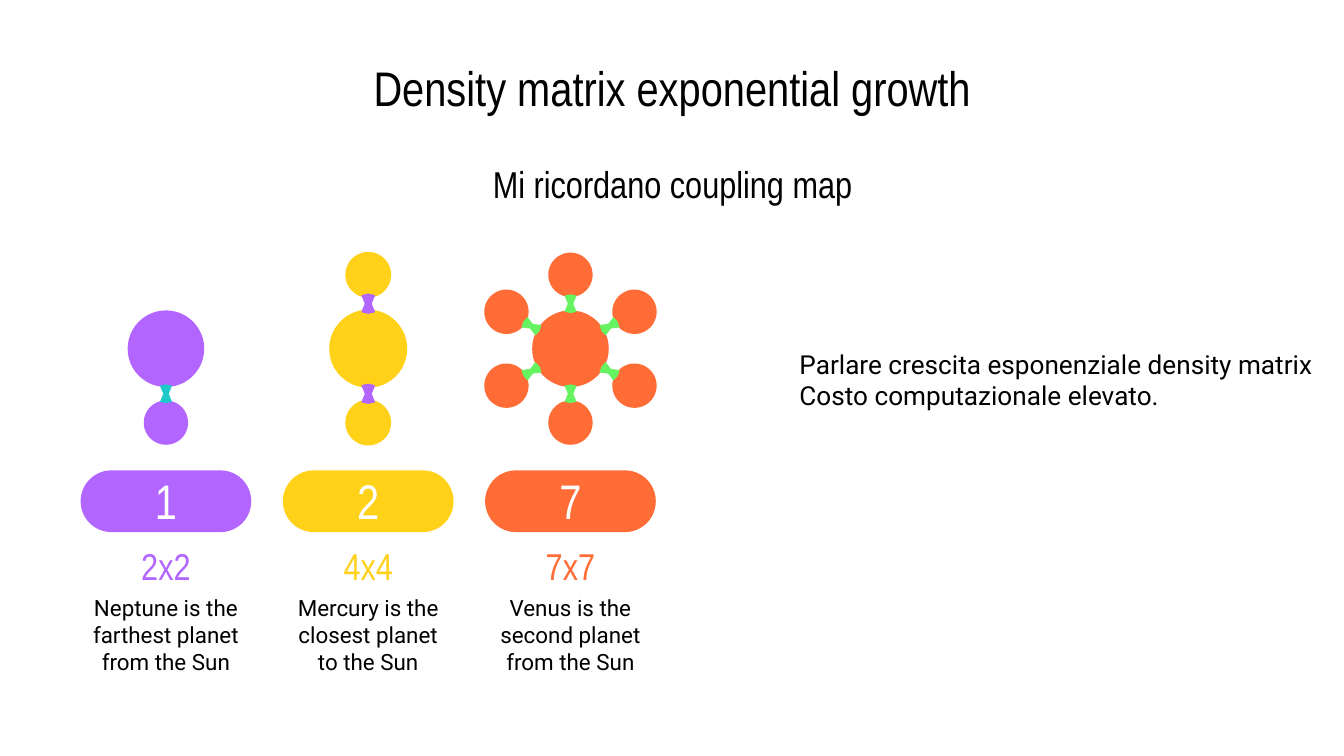
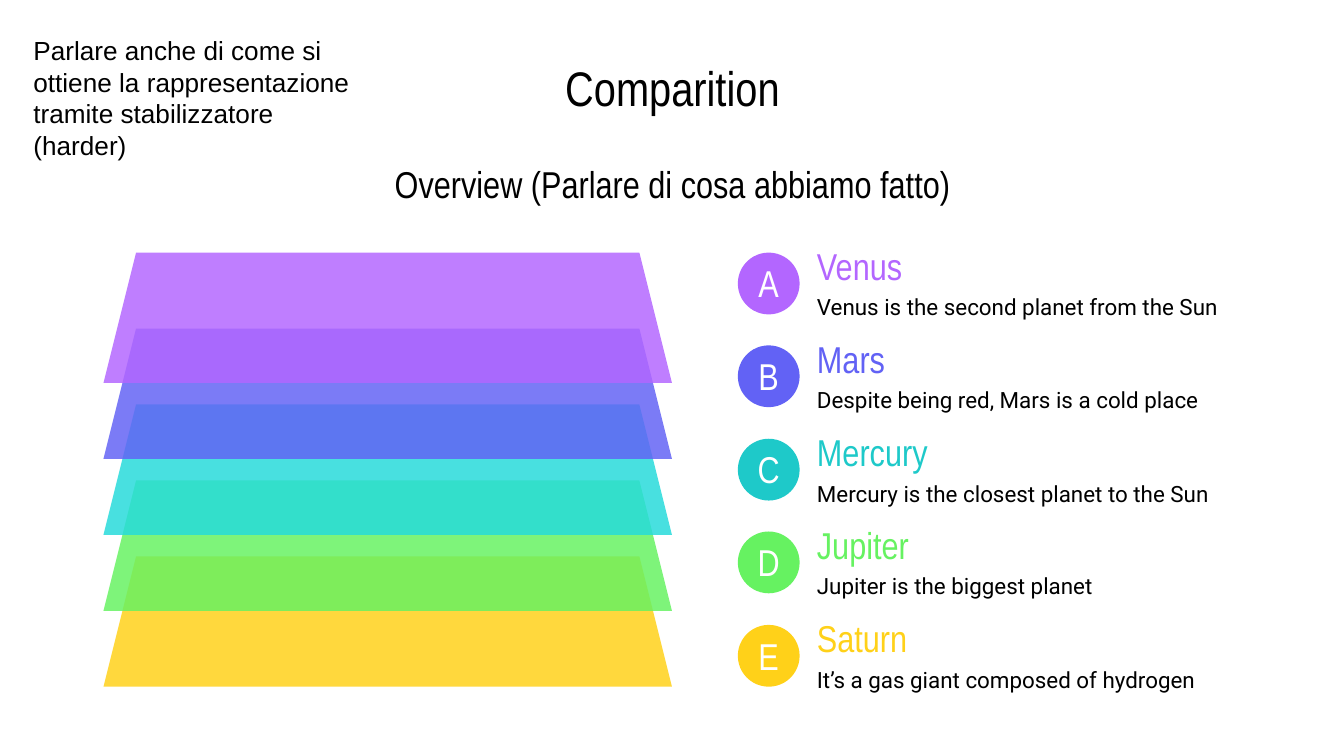
from math import cos, radians, sin

from lxml.etree import SubElement
from pptx import Presentation
from pptx.dml.color import RGBColor
from pptx.enum.shapes import MSO_SHAPE
from pptx.enum.text import MSO_ANCHOR, MSO_AUTO_SIZE, PP_ALIGN
from pptx.oxml.ns import qn
from pptx.util import Pt

PX = 4572  # 200 px to the inch

BLACK = RGBColor(0x00, 0x00, 0x00)
WHITE = RGBColor(0xFF, 0xFF, 0xFF)
PURPLE = RGBColor(0xB3, 0x66, 0xFF)
BLUE = RGBColor(0x62, 0x62, 0xF5)
TEAL = RGBColor(0x1E, 0xC9, 0xC9)
CYAN = RGBColor(0x25, 0xDB, 0xDB)
GREEN = RGBColor(0x66, 0xF2, 0x61)
YELLOW = RGBColor(0xFF, 0xD1, 0x19)
ORANGE = RGBColor(0xFF, 0x6C, 0x36)

HEAD = "Arial Narrow"
BODY = "Roboto"


def paint(shape, colour, outlined=False):
    shape.shadow.inherit = False
    shape.fill.solid()
    shape.fill.fore_color.rgb = colour
    if outlined:
        shape.line.color.rgb = colour
        shape.line.width = Pt(0.75)
    else:
        shape.line.fill.background()


def write(shape, lines, size, font, colour=BLACK, align=PP_ALIGN.CENTER,
          margins=(20, 20, 20, 20), anchor=MSO_ANCHOR.MIDDLE):
    """Fill a shape with one paragraph per line; margins are left, top, right, bottom."""
    frame = shape.text_frame
    frame.word_wrap = True
    frame.vertical_anchor = anchor
    (frame.margin_left, frame.margin_top,
     frame.margin_right, frame.margin_bottom) = [m * PX for m in margins]
    for number, line in enumerate(lines):
        para = frame.add_paragraph() if number else frame.paragraphs[0]
        para.alignment = align
        span = para.add_run()
        span.text = line
        span.font.size = Pt(size)
        span.font.name = font
        span.font.color.rgb = colour


deck = Presentation()
deck.slide_width, deck.slide_height = 2000 * PX, 1125 * PX

# Shared title and subtitle
pages = []
for title, subtitle in [
    ("Density matrix exponential growth", "Mi ricordano coupling map"),
    ("Comparition", "Overview (Parlare di cosa abbiamo fatto)"),
]:
    page = deck.slides.add_slide(deck.slide_layouts[6])
    pages.append(page)
    for text, top, height, size in [(title, 66, 126, 26), (subtitle, 236, 74, 20)]:
        box = page.shapes.add_textbox(440 * PX, top * PX, 1122 * PX, height * PX)
        write(box, [text], size, HEAD)

growth, comparison = pages

# Slide 1: hubs with satellites, each above a numbered pill
HUB_Y, HUB_SIZE = 519, 114
SATELLITE_SIZE, SATELLITE_REACH, BOND_REACH = 66, 110, 67
BOND_OUTLINE = [(-9, -12), (0, -14), (9, -12), (4, 0),
                (9, 12), (0, 14), (-9, 12), (-4, 0)]
systems = [
    ("1", "2x2", "Neptune is the farthest planet from the Sun",
     PURPLE, TEAL, [180], False),
    ("2", "4x4", "Mercury is the closest planet to the Sun",
     YELLOW, PURPLE, [0, 180], True),
    ("7", "7x7", "Venus is the second planet from the Sun",
     ORANGE, GREEN, range(0, 360, 60), False),
]
for column, (count, matrix, caption, colour, bond_colour, angles, outlined) in enumerate(systems):
    left = 120 + 301 * column
    hub_x = left + 127

    circles = [(hub_x, HUB_Y, HUB_SIZE)]
    for angle in angles:
        circles.append((hub_x + SATELLITE_REACH * sin(radians(angle)),
                        HUB_Y - SATELLITE_REACH * cos(radians(angle)), SATELLITE_SIZE))
    for x, y, size in circles:
        circle = growth.shapes.add_shape(
            MSO_SHAPE.OVAL, round((x - size / 2) * PX), round((y - size / 2) * PX),
            size * PX, size * PX)
        paint(circle, colour, outlined)

    for angle in angles:
        x = hub_x + BOND_REACH * sin(radians(angle))
        y = HUB_Y - BOND_REACH * cos(radians(angle))
        points = [((x + dx) * PX, (y + dy) * PX) for dx, dy in BOND_OUTLINE]
        builder = growth.shapes.build_freeform(*points[0])
        builder.add_line_segments(points[1:], close=True)
        bond = builder.convert_to_shape()
        bond.rotation = angle
        paint(bond, bond_colour, outlined)

    pill = growth.shapes.add_shape(
        MSO_SHAPE.ROUNDED_RECTANGLE, left * PX, 700 * PX, 254 * PX, 92 * PX)
    pill.adjustments[0] = 0.5
    paint(pill, colour)
    write(pill, [count], 26, HEAD, WHITE, margins=(20, 20, 20, 22))
    for text, top, height, size, font, ink in [
        (matrix, 804, 74, 20, HEAD, colour),
        (caption, 868, 152, 12, BODY, BLACK),
    ]:
        box = growth.shapes.add_textbox((left - 13) * PX, top * PX, 280 * PX, height * PX)
        write(box, [text], size, font, ink)

cost_note = growth.shapes.add_textbox(1170 * PX, 508 * PX, 812 * PX, 114 * PX)
write(cost_note, ["Parlare crescita esponenziale density matrix",
                  "Costo computazionale elevato."],
      14, BODY, align=PP_ALIGN.LEFT, margins=(20, 10, 20, 10), anchor=MSO_ANCHOR.TOP)
cost_note.text_frame.word_wrap = False
cost_note.text_frame.auto_size = MSO_AUTO_SIZE.SHAPE_TO_FIT_TEXT

# Slide 2: lettered list beside a stack of translucent layers
planets = [
    ("A", "Venus", "Venus is the second planet from the Sun", PURPLE),
    ("B", "Mars", "Despite being red, Mars is a cold place", BLUE),
    ("C", "Mercury", "Mercury is the closest planet to the Sun", TEAL),
    ("D", "Jupiter", "Jupiter is the biggest planet", GREEN),
    ("E", "Saturn", "It’s a gas giant composed of hydrogen", YELLOW),
]
for row, (letter, name, fact, colour) in enumerate(planets):
    top = 376 + 554 * row // 4
    for text, text_top, height, size, font, ink in [
        (name, top - 18, 74, 20, HEAD, colour),
        (fact, top + 54, 54, 12, BODY, BLACK),
    ]:
        box = comparison.shapes.add_textbox(1196 * PX, text_top * PX, 650 * PX, height * PX)
        write(box, [text], size, font, ink, PP_ALIGN.LEFT)
    badge = comparison.shapes.add_shape(
        MSO_SHAPE.OVAL, 1098 * PX, top * PX, 92 * PX, 92 * PX)
    paint(badge, colour)
    write(badge, [letter], 20, HEAD, WHITE, margins=(0, 20, 0, 22))

layers = [PURPLE, BLUE, CYAN, GREEN, YELLOW]
for level in reversed(range(len(layers))):
    layer = comparison.shapes.add_shape(
        MSO_SHAPE.TRAPEZOID, 154 * PX, (376 + 113 * level) * PX, 846 * PX, 194 * PX)
    layer.adjustments[0] = 0.25
    paint(layer, layers[level])
    tint = layer.element.find(".//" + qn("a:srgbClr"))
    SubElement(tint, qn("a:alpha")).set("val", "84000")

stabilizer_note = comparison.shapes.add_textbox(30 * PX, 42 * PX, 538 * PX, 208 * PX)
write(stabilizer_note,
      ["Parlare anche di come si ottiene la rappresentazione tramite stabilizzatore (harder)"],
      14, "Arial", align=PP_ALIGN.LEFT, margins=(20, 10, 20, 10), anchor=MSO_ANCHOR.TOP)
stabilizer_note.text_frame.auto_size = MSO_AUTO_SIZE.SHAPE_TO_FIT_TEXT

deck.save("out.pptx")
